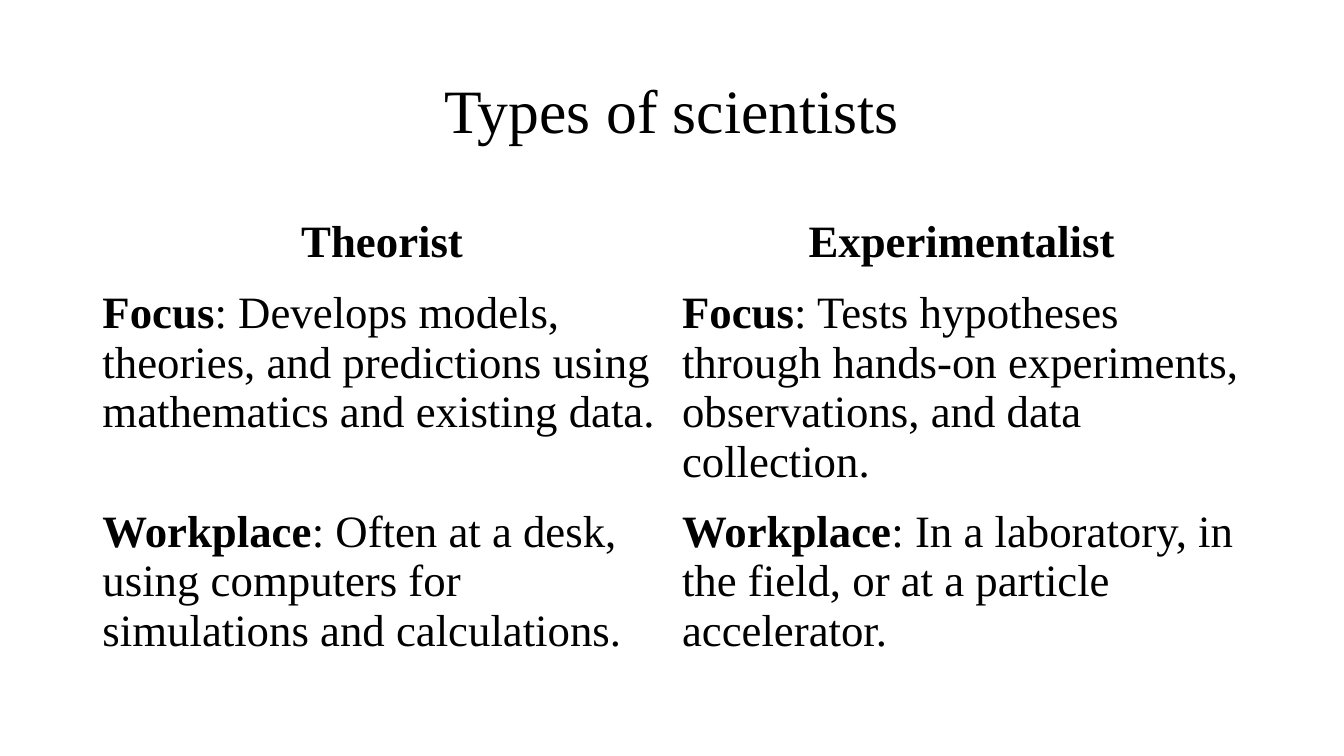
from pptx import Presentation
from pptx.dml.color import RGBColor
from pptx.enum.text import MSO_ANCHOR as ANCHOR, PP_ALIGN as ALIGN
from pptx.util import Pt

TITLE = "Types of scientists"
HEADS = ["Theorist", "Experimentalist"]
ASPECTS = [
    ("Focus", [
        "Develops models, theories, and predictions using mathematics and existing data.",
        "Tests hypotheses through hands-on experiments, observations, and data collection.",
    ]),
    ("Workplace", [
        "Often at a desk, using computers for simulations and calculations.",
        "In a laboratory, in the field, or at a particle accelerator.",
    ]),
]
FONT = "Times New Roman"
BLACK = "000000"
LEFT, WIDTH = 66, 828
TITLE_TOP, TITLE_HEIGHT = 28.75, 104.4
TABLE_TOP = 144
ROW_HEIGHTS = [58.4, 156.2, 114.5]


def color(value):
    return RGBColor.from_string(value)


def add_text(p, text, size=32, bold=False, align=None):
    if align is not None:
        p.alignment = align
    r = p.add_run()
    r.text = text
    r.font.name = FONT
    r.font.size = Pt(size)
    r.font.bold = bold
    r.font.color.rgb = color(BLACK)


def add_title(s):
    title = s.shapes.title
    title.left, title.top = Pt(LEFT), Pt(TITLE_TOP)
    title.width, title.height = Pt(WIDTH), Pt(TITLE_HEIGHT)
    tf = title.text_frame
    tf.word_wrap = True
    tf.vertical_anchor = ANCHOR.MIDDLE
    p = tf.paragraphs[0]
    p.line_spacing = 0.9
    add_text(p, TITLE, size=44, align=ALIGN.CENTER)


def add_comparison(s):
    frame = s.shapes.add_table(len(ROW_HEIGHTS), len(HEADS), Pt(LEFT), Pt(TABLE_TOP),
                               Pt(WIDTH), Pt(sum(ROW_HEIGHTS)))
    table = frame.table
    table.first_row = False
    table.horz_banding = False
    for row, height in zip(table.rows, ROW_HEIGHTS):
        row.height = Pt(height)
    for cell in table.iter_cells():
        cell.fill.background()
    for col, head in enumerate(HEADS):
        cell = table.cell(0, col)
        cell.vertical_anchor = ANCHOR.MIDDLE
        add_text(cell.text_frame.paragraphs[0], head, bold=True, align=ALIGN.CENTER)
    for row, (aspect, details) in enumerate(ASPECTS, 1):
        for col, detail in enumerate(details):
            p = table.cell(row, col).text_frame.paragraphs[0]
            add_text(p, aspect, bold=True)
            add_text(p, f": {detail}")


def main():
    prs = Presentation()
    prs.slide_width, prs.slide_height = Pt(960), Pt(540)
    s = prs.slides.add_slide(prs.slide_layouts[5])
    add_title(s)
    add_comparison(s)
    prs.save("out.pptx")


if __name__ == "__main__":
    main()
